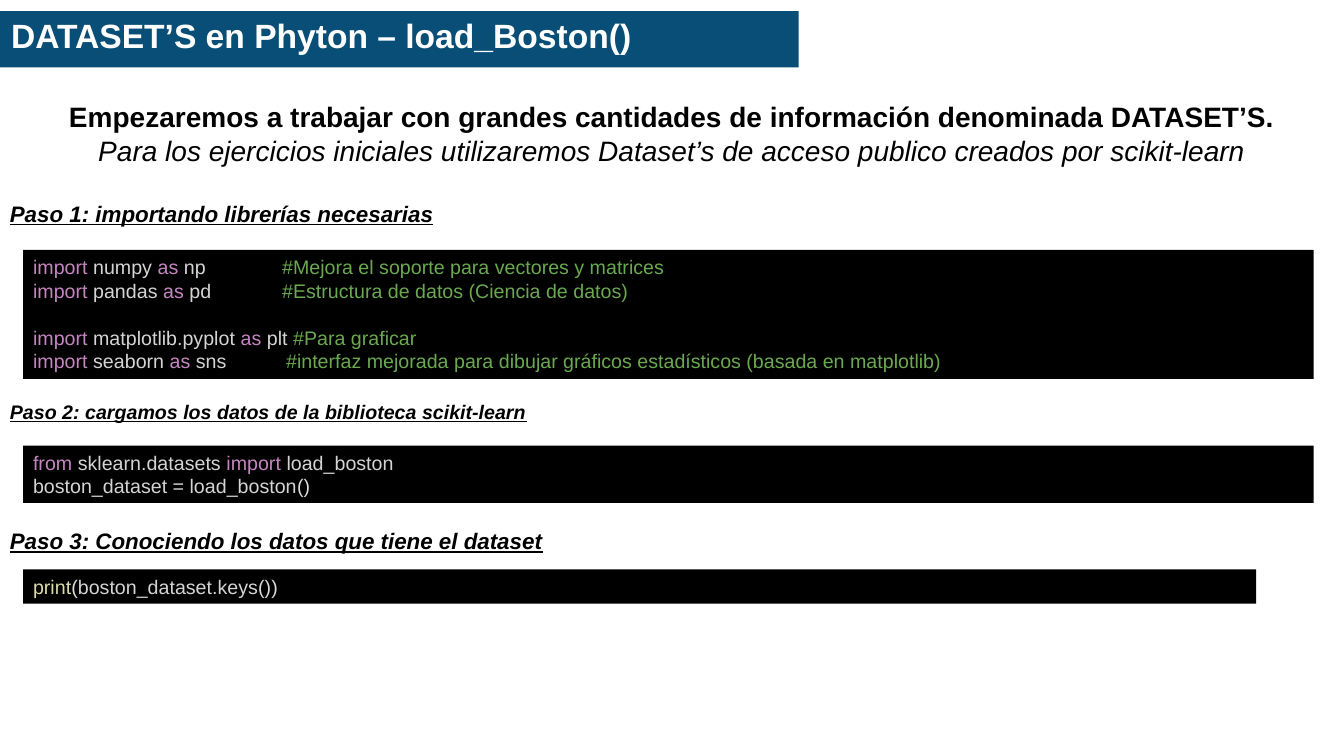
from dataclasses import dataclass

from lxml.etree import SubElement
from pptx import Presentation
from pptx.dml.color import RGBColor
from pptx.enum.shapes import MSO_SHAPE as Shape
from pptx.enum.text import MSO_ANCHOR as Anchor, MSO_AUTO_SIZE as AutoSize, PP_ALIGN as Align
from pptx.oxml.ns import qn
from pptx.util import Inches, Pt


@dataclass(frozen=True)
class Theme:
    font: str = "Arial"
    banner: str = "094E76"
    white: str = "FFFFFF"
    black: str = "000000"
    keyword: str = "C586C0"
    name: str = "D4D4D4"
    bracket: str = "DCDCDC"
    function: str = "DCDCAA"
    comment: str = "6AA94F"
    title_size: int = 24
    intro_size: int = 20
    step_size: int = 16
    code_size: int = 14


THEME = Theme()
STEP = dict(bold=True, italic=True, underline=True)

IMPORT_LINES = [
    dict(module="numpy", alias="np", gap="\t", tab=2.47,
         note="#Mejora el soporte para vectores y matrices"),
    dict(module="pandas", alias="pd", gap="\t", tab=2.47,
         note="#Estructura de datos (Ciencia de datos)"),
    dict(module="matplotlib.pyplot", alias="plt", gap=" ", before=16.8,
         note="#Para graficar"),
    dict(module="seaborn", alias="sns", gap="\t", tab=2.51,
         note="#interfaz mejorada para dibujar gráficos estadísticos (basada en matplotlib)"),
]
LOAD_LINES = [
    [("from ", THEME.keyword), ("sklearn.datasets ", THEME.name),
     ("import ", THEME.keyword), ("load_boston", THEME.name)],
    [("boston_dataset = load_boston", THEME.name), ("()", THEME.bracket)],
]
KEYS_LINES = [
    [("print", THEME.function), ("(", THEME.bracket),
     ("boston_dataset.keys", THEME.name), ("())", THEME.bracket)],
]


def set_all(target, values):
    for key, value in values.items():
        setattr(target, key, value)


def add_span(para, text, size, color=THEME.black, **styles):
    span = para.add_run()
    span.text = text
    set_all(span.font, dict(name=THEME.font, size=Pt(size), **styles))
    span.font.color.rgb = RGBColor.from_string(color)


def paint(shape, color):
    shape.fill.solid()
    shape.fill.fore_color.rgb = RGBColor.from_string(color)
    shape.line.fill.background()


def set_frame(box, **values):
    set_all(box.text_frame, dict(word_wrap=True, auto_size=AutoSize.SHAPE_TO_FIT_TEXT,
                                 vertical_anchor=Anchor.TOP) | values)


def next_para(box, index):
    return box.text_frame.add_paragraph() if index else box.text_frame.paragraphs[0]


def add_title(page, text, left, top, width, height):
    title = page.shapes.title
    set_all(title, dict(left=Inches(left), top=Inches(top),
                        width=Inches(width), height=Inches(height)))
    paint(title, THEME.banner)
    set_frame(title, auto_size=AutoSize.NONE, vertical_anchor=Anchor.MIDDLE,
              margin_left=Inches(0.11), margin_right=Inches(0.11),
              margin_top=Inches(0.06), margin_bottom=Inches(0.06))
    para = title.text_frame.paragraphs[0]
    set_all(para, dict(alignment=Align.LEFT, line_spacing=0.8))
    add_span(para, text, THEME.title_size, THEME.white, bold=True)


def add_text(page, lines, left, top, width, height):
    box = page.shapes.add_textbox(Inches(left), Inches(top), Inches(width), Inches(height))
    set_frame(box)
    for index, (text, size, layout, styles) in enumerate(lines):
        para = next_para(box, index)
        set_all(para, layout)
        add_span(para, text, size, **styles)


def add_code(page, lines, left, top, width, height):
    box = page.shapes.add_shape(Shape.RECTANGLE, Inches(left), Inches(top),
                                Inches(width), Inches(height))
    box.shadow.inherit = False
    paint(box, THEME.black)
    set_frame(box)
    for index, spans in enumerate(lines):
        para = next_para(box, index)
        para.alignment = Align.LEFT
        for text, color in spans:
            add_span(para, text, THEME.code_size, color)
    return box


def import_spans(line):
    return [("import ", THEME.keyword), (line["module"] + " ", THEME.name),
            ("as ", THEME.keyword), (line["alias"] + line["gap"], THEME.name),
            (line["note"], THEME.comment)]


def add_tab(para, position):
    stops = SubElement(para._p.get_or_add_pPr(), qn("a:tabLst"))
    SubElement(stops, qn("a:tab"), pos=str(Inches(position)), algn="l")


def add_imports(page, left, top, width, height):
    box = add_code(page, map(import_spans, IMPORT_LINES), left, top, width, height)
    for para, line in zip(box.text_frame.paragraphs, IMPORT_LINES):
        if "before" in line:
            para.space_before = Pt(line["before"])
        if "tab" in line:
            add_tab(para, line["tab"])


def main():
    deck = Presentation()
    set_all(deck, dict(slide_width=Inches(13.33), slide_height=Inches(7.5)))
    page = deck.slides.add_slide(deck.slide_layouts.get_by_name("Title Only"))

    add_title(page, "DATASET’S en Phyton – load_Boston()", 0, 0.11, 7.92, 0.56)
    centred = dict(alignment=Align.CENTER)
    add_text(page, [
        ("Empezaremos a trabajar con grandes cantidades de información denominada DATASET’S.",
         THEME.intro_size, centred, dict(bold=True)),
        ("Para los ejercicios iniciales utilizaremos Dataset’s de acceso publico creados por "
         "scikit-learn", THEME.intro_size, centred, dict(italic=True)),
        ("Paso 1: importando librerías necesarias",
         THEME.step_size, dict(space_before=Pt(23.5)), STEP),
    ], 0, 0.94, 13.33, 1.38)
    add_imports(page, 0.23, 2.48, 12.8, 1.28)
    add_text(page, [("Paso 2: cargamos los datos de la biblioteca scikit-learn",
                     THEME.code_size, {}, STEP)], 0, 3.92, 6.67, 0.34)
    add_code(page, LOAD_LINES, 0.23, 4.42, 12.8, 0.57)
    add_text(page, [("Paso 3: Conociendo los datos que tiene el dataset",
                     THEME.step_size, {}, STEP)], 0, 5.18, 13.33, 0.37)
    add_code(page, KEYS_LINES, 0.23, 5.65, 12.23, 0.34)

    deck.save("out.pptx")


if __name__ == "__main__":
    main()
